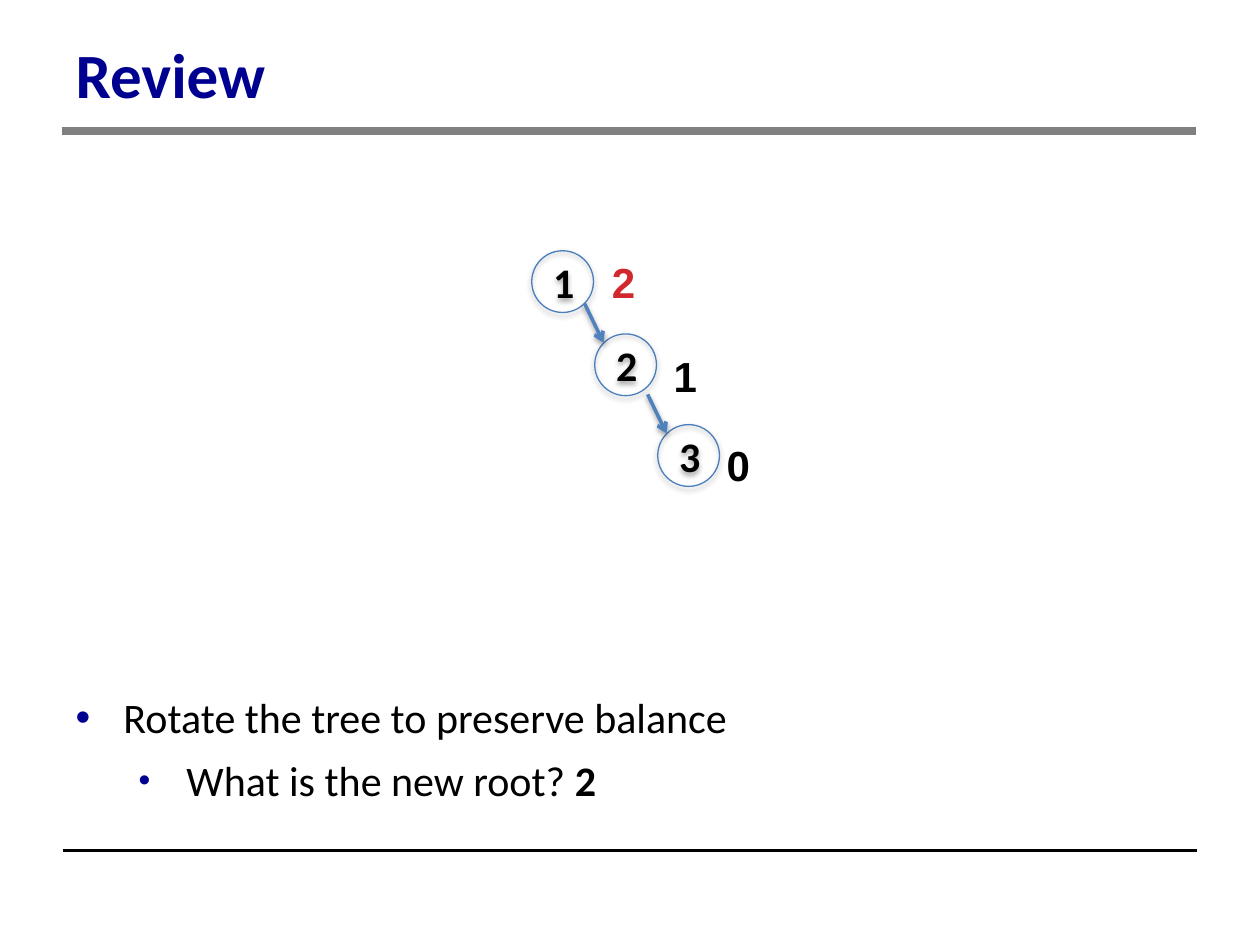
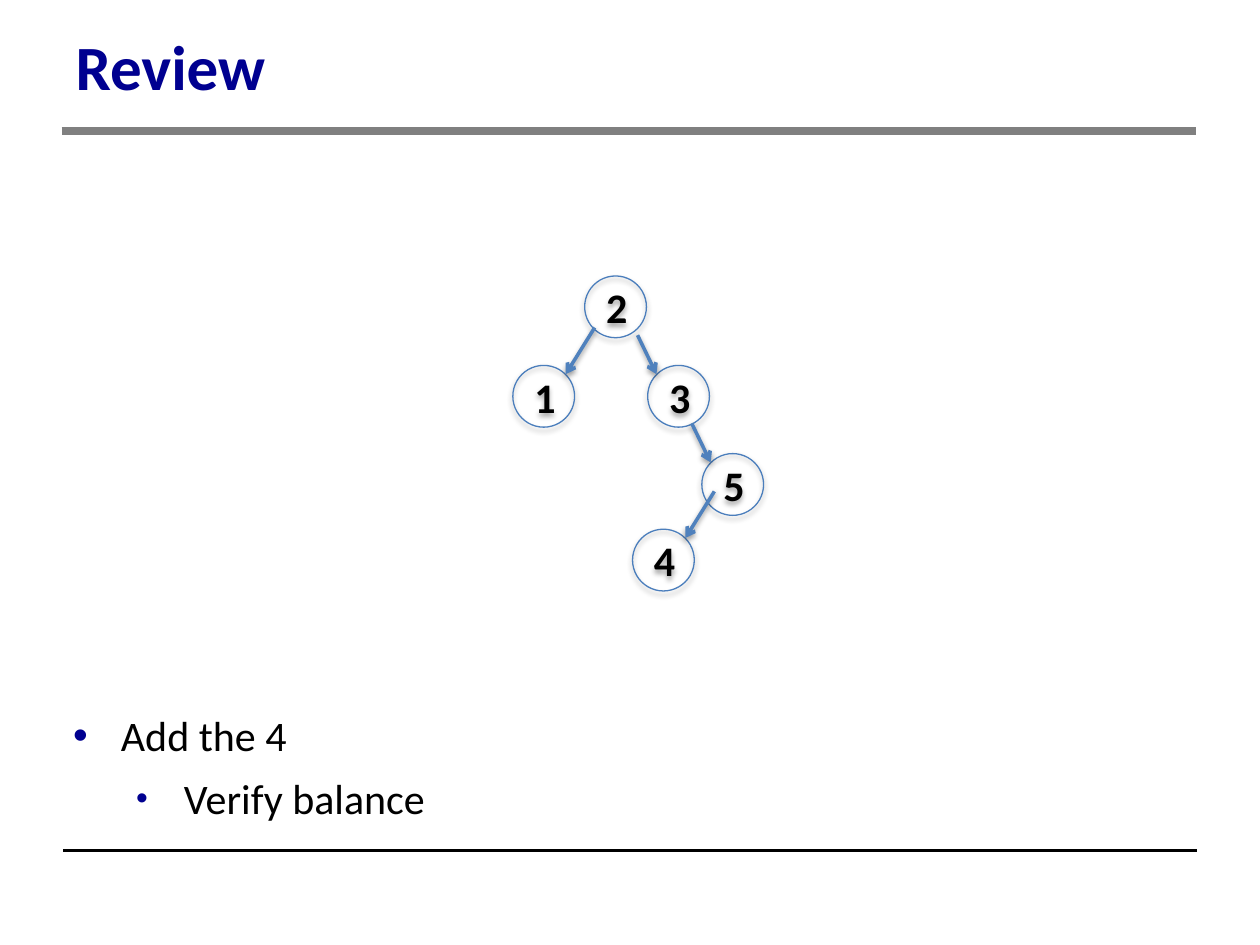
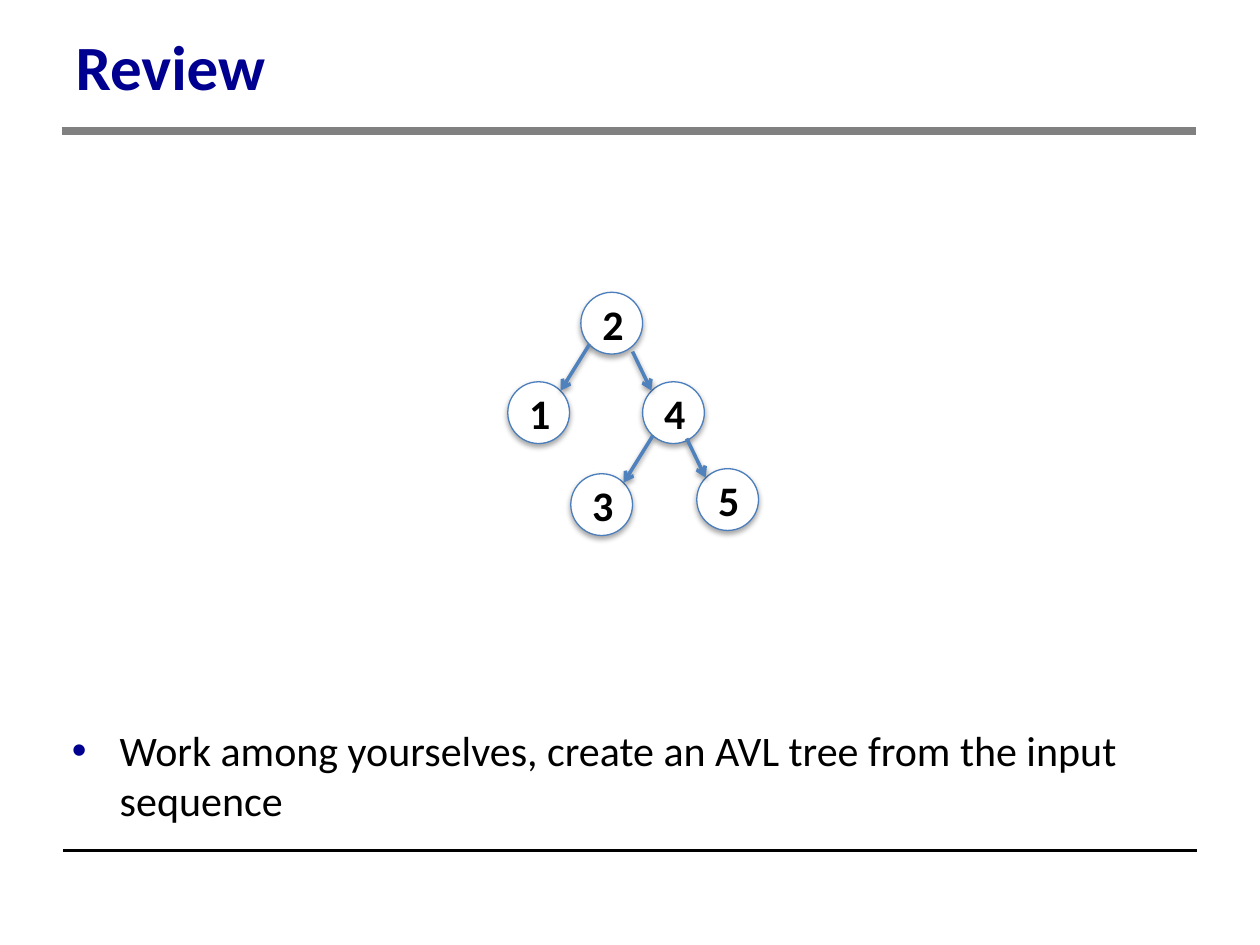
import pptx
import pptx.util
import pptx.dml.color
import pptx.enum.shapes
import pptx.enum.text
import pptx.oxml
import pptx.oxml.ns

Inches, Pt = pptx.util.Inches, pptx.util.Pt
Align = pptx.enum.text.PP_ALIGN
Anchor = pptx.enum.text.MSO_ANCHOR
Fit = pptx.enum.text.MSO_AUTO_SIZE


class Theme:
    navy, black, white = "000090", "000000", "FFFFFF"
    gray, red = "808080", "D1282E"
    ring, edge = "4B7EBC", "4F81BD"
    font, label = "Calibri", "Arial"
    head, text = 36, 24
    node = 0.49


# Bullet style by level: left margin, space before (%), bullet size (%)
LEVELS = [(0.38, 50, 100), (0.88, 30, 80)]
HANG = 0.38


def color(code):
    return pptx.dml.color.RGBColor.from_string(code)


def add_xml(parent, tag, inner="", **attrs):
    pairs = "".join(f' {key}="{val}"' for key, val in attrs.items())
    names = pptx.oxml.ns.nsdecls("a")
    parent.append(pptx.oxml.parse_xml(
        f"<a:{tag} {names}{pairs}>{inner}</a:{tag}>"))


def add_run(para, text, size=Theme.text, code=Theme.black, bold=False,
            font=Theme.font):
    run = para.add_run()
    run.text = text
    run.font.name, run.font.size, run.font.bold = font, Pt(size), bold
    run.font.color.rgb = color(code)


def place(shape, left, top, width, height):
    shape.left, shape.top = Inches(left), Inches(top)
    shape.width, shape.height = Inches(width), Inches(height)


def set_shadow(shape, alpha, drop):
    add_xml(shape.element.spPr, "effectLst",
            f'<a:outerShdw blurRad="{Pt(3.1)}" dist="{Pt(drop)}" '
            'dir="5400000" rotWithShape="0"><a:srgbClr val="000000">'
            f'<a:alpha val="{alpha * 1000}"/></a:srgbClr></a:outerShdw>')


def add_line(slide, start, end, code, width):
    kind = pptx.enum.shapes.MSO_CONNECTOR.STRAIGHT
    line = slide.shapes.add_connector(
        kind, *[Inches(val) for val in (*start, *end)])
    line.line.color.rgb = color(code)
    line.line.width = Pt(width)
    return line


def add_rules(deck, slide):
    """Draw the two rules and move them to the master, for all slides."""
    rules = [(0.5, 6.75, Theme.black, 2), (0.49, 1.04, Theme.gray, 5)]
    for num, (left, top, code, width) in enumerate(rules, 20):
        line = add_line(slide, (left, top), (left + 9, top), code, width)
        add_xml(line.element.spPr, "effectLst")
        line.element.xpath(".//p:cNvPr")[0].set("id", str(num))
        deck.slide_master.shapes.element.append(line.element)


def set_title(slide, text, height):
    title = slide.shapes.title
    place(title, 0.5, 0.17, 8.21, height)
    frame = title.text_frame
    frame.vertical_anchor, frame.auto_size = Anchor.BOTTOM, Fit.NONE
    para = frame.paragraphs[0]
    para.alignment, para.line_spacing = Align.LEFT, Pt(40)
    add_run(para, text, Theme.head, Theme.navy, True)


def set_list(slide, box, items):
    """Fill the body; an item is a level, plain text and bold text."""
    body = slide.placeholders[1]
    place(body, *box)
    frame = body.text_frame
    frame.auto_size = Fit.SHAPE_TO_FIT_TEXT
    for num, (level, plain, bold) in enumerate(items):
        para = frame.add_paragraph() if num else frame.paragraphs[0]
        para.level = level
        margin, space, size = LEVELS[level]
        props = para._p.get_or_add_pPr()
        props.set("marL", str(Inches(margin)))
        props.set("indent", str(-Inches(HANG)))
        add_xml(props, "spcBef", f'<a:spcPct val="{space * 1000}"/>')
        add_xml(props, "buClr", f'<a:srgbClr val="{Theme.navy}"/>')
        add_xml(props, "buSzPct", val=size * 1000)
        add_xml(props, "buFont", typeface=Theme.label)
        add_xml(props, "buChar", char="•")
        add_run(para, plain)
        if bold:
            add_run(para, bold, bold=True)


def add_node(slide, key, left, top, fill):
    kind = pptx.enum.shapes.MSO_SHAPE.OVAL
    node = slide.shapes.add_shape(
        kind, Inches(left), Inches(top), Inches(Theme.node),
        Inches(Theme.node))
    if fill:
        node.fill.solid()
        node.fill.fore_color.rgb = color(fill)
    else:
        node.fill.background()
    node.line.color.rgb = color(Theme.ring)
    node.line.width = Pt(0.75)
    set_shadow(node, 35, 1.8)
    frame = node.text_frame
    frame.vertical_anchor = Anchor.MIDDLE
    para = frame.paragraphs[0]
    para.alignment = Align.CENTER
    add_run(para, key, bold=True)


def add_edge(slide, left, top, side):
    """Point an arrow from the parent to a left or right child."""
    inset, run, rise = {"L": (0.42, 0.23, 0.37), "R": (0.07, -0.15, 0.31)}[side]
    tip = left + inset, top + 0.07
    line = add_line(slide, (tip[0] + run, tip[1] - rise), tip, Theme.edge, 2)
    add_xml(line.element.spPr.find(pptx.oxml.ns.qn("a:ln")), "tailEnd",
            type="arrow")
    set_shadow(line, 38, 1.6)


def add_tree(slide, nodes, fill=None):
    """Draw nodes given as key, left, top and side ('' for the root)."""
    for key, left, top, side in nodes:
        add_node(slide, key, left, top, fill)
        if side:
            add_edge(slide, left, top, side)


def add_label(slide, text, left, top, code=Theme.black):
    box = slide.shapes.add_textbox(
        Inches(left), Inches(top), Inches(0.39), Inches(0.5))
    frame = box.text_frame
    frame.word_wrap, frame.auto_size = False, Fit.SHAPE_TO_FIT_TEXT
    para = frame.paragraphs[0]
    para.alignment = Align.RIGHT
    add_run(para, text, code=code, bold=True, font=Theme.label)


def add_slide(deck, height, box, items):
    slide = deck.slides.add_slide(deck.slide_layouts[1])
    set_title(slide, "Review", height)
    set_list(slide, box, items)
    return slide


def main():
    deck = pptx.Presentation()
    deck.slide_width, deck.slide_height = Inches(10), Inches(7.5)

    # Unbalanced chain with node heights
    slide = add_slide(deck, 0.76, (0.5, 5.44, 8.33, 1.03), [
        (0, "Rotate the tree to preserve balance", ""),
        (1, "What is the new root? ", "2")])
    add_rules(deck, slide)
    add_tree(slide, [("1", 4.22, 1.99, ""), ("2", 4.72, 2.65, "R"),
                     ("3", 5.22, 3.37, "R")])
    add_label(slide, "0", 5.66, 3.44)
    add_label(slide, "1", 5.24, 2.73)
    add_label(slide, "2", 4.75, 1.99, Theme.red)

    # Tree after adding 4
    slide = add_slide(deck, 0.7, (0.48, 5.58, 8.33, 1.03), [
        (0, "Add the 4", ""), (1, "Verify balance", "")])
    add_tree(slide, [("2", 4.64, 2.19, ""), ("1", 4.07, 2.9, "L"),
                     ("3", 5.14, 2.9, "R"), ("5", 5.57, 3.6, "R"),
                     ("4", 5.02, 4.2, "L")])

    # Balanced tree
    slide = add_slide(deck, 0.7, (0.47, 5.7, 9.5, 0.91), [
        (0, "Work among yourselves, create an AVL tree from the input "
            "sequence", "")])
    add_tree(slide, [("2", 4.61, 2.32, ""), ("1", 4.03, 3.03, "L"),
                     ("4", 5.1, 3.03, "R"), ("5", 5.53, 3.72, "R"),
                     ("3", 4.53, 3.76, "L")], Theme.white)

    deck.save("out.pptx")


if __name__ == "__main__":
    main()
